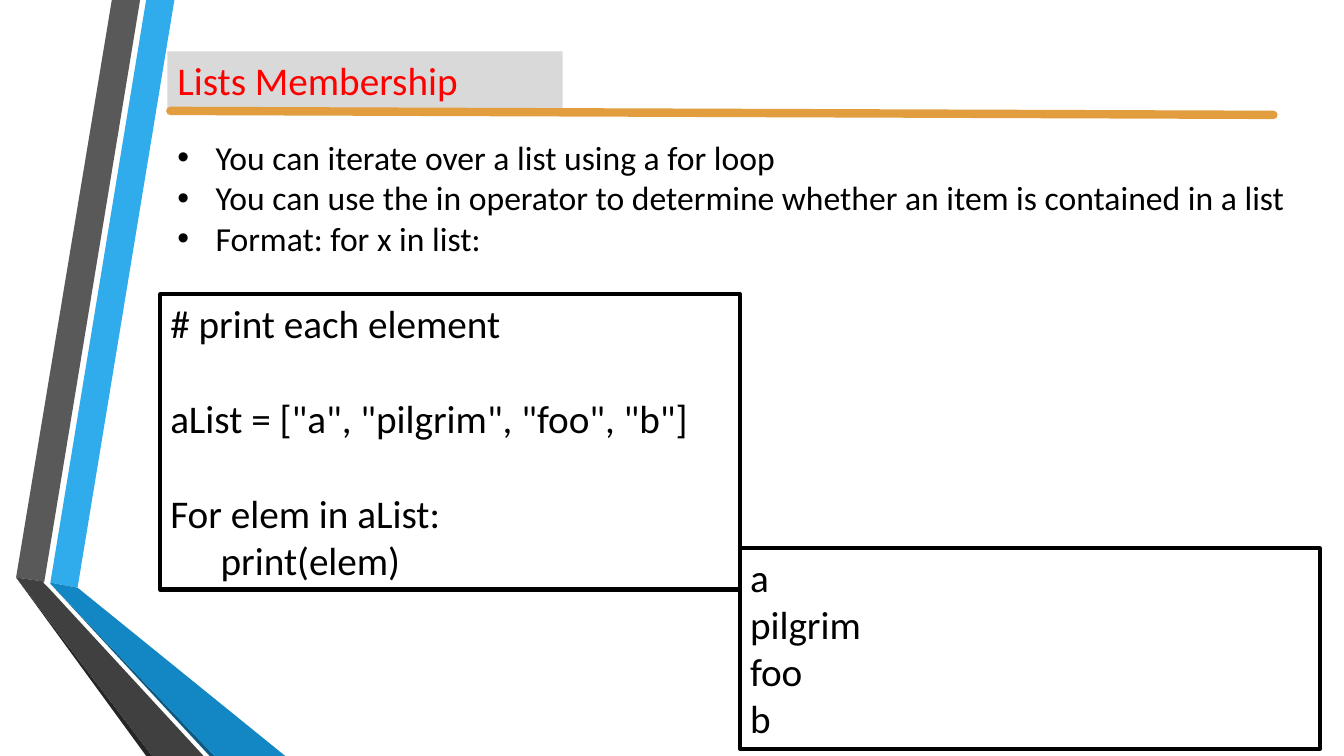
from lxml.etree import SubElement
from pptx import Presentation
from pptx.dml.color import RGBColor
from pptx.enum.shapes import MSO_CONNECTOR, MSO_SHAPE
from pptx.enum.text import MSO_ANCHOR, MSO_AUTO_SIZE, PP_ALIGN
from pptx.oxml.ns import qn
from pptx.util import Inches, Pt

# Content
TITLE = "Lists Membership"
POINTS = [
    "You can iterate over a list using a for loop",
    "You can use the in operator to determine whether an item is contained in a list",
    "Format: for x in list:",
]
# Code lines: text, indent level, blank lines above
CODE = [
    ("# print each element", 0, 0),
    ('aList = ["a", "pilgrim", "foo", "b"]', 0, 1),
    ("For elem in aList:", 0, 1),
    ("print(elem)", 1, 0),
]
OUTPUT = ["a", "pilgrim", "foo", "b"]

COLORS = {
    "text": "000000", "title": "FF0000", "title_band": "D9D9D9", "rule": "E29D3E",
    "blue": "30ACEC", "blue_fold": "1287C3", "blue_edge": "0C5A82",
    "gray": "595959", "gray_fold": "404040", "gray_edge": "262626",
}
FONT = "Calibri"
BODY_SIZE, CODE_SIZE = 24, 28
LINE_HEIGHT = 1.22 * CODE_SIZE

# Layout in inches
WIDTH, HEIGHT = 13.33, 7.5
LEFT = 1.66
PANEL_WIDTH = 5.75
CODE_LEFT = 1.59
RIBBONS = [
    ("blue", [(0.5, 5.78), (0.77, 5.83), (1.73, 0), (1.45, 0)]),
    ("gray", [(1.39, 0), (1.11, 0), (0.16, 5.73), (0.44, 5.77)]),
    ("gray_edge", [(0.16, 5.73), (1.45, HEIGHT), (1.51, HEIGHT)]),
    ("blue_edge", [(0.5, 5.79), (2.08, HEIGHT), (2.13, HEIGHT)]),
    ("blue_fold", [(0.5, 5.79), (2.13, HEIGHT), (2.83, HEIGHT), (0.77, 5.83), (0.5, 5.78)]),
    ("gray_fold", [(2.02, HEIGHT), (0.48, 5.83), (0.43, 5.78), (0.44, 5.77),
                   (0.16, 5.73), (1.51, HEIGHT)]),
]


def color(name):
    return RGBColor.from_string(COLORS[name])


def box(*lengths):
    return [Inches(length) for length in lengths]


def write(shape, lines, size, ink="text", anchor=MSO_ANCHOR.TOP):
    frame = shape.text_frame
    frame.word_wrap = True
    frame.auto_size = MSO_AUTO_SIZE.NONE
    frame.vertical_anchor = anchor
    frame.text = "\n".join(lines)
    for paragraph in frame.paragraphs:
        paragraph.alignment = PP_ALIGN.LEFT
        for run in paragraph.runs:
            run.font.name = FONT
            run.font.size = Pt(size)
            run.font.color.rgb = color(ink)
    return frame.paragraphs


def add_panel(slide, left, top, height, lines):
    panel = slide.shapes.add_shape(
        MSO_SHAPE.RECTANGLE, *box(left, top, PANEL_WIDTH, height))
    panel.shadow.inherit = False
    panel.fill.background()
    panel.line.color.rgb = color("text")
    panel.line.width = Pt(3)
    return write(panel, lines, CODE_SIZE)


def main():
    deck = Presentation()
    deck.slide_width, deck.slide_height = box(WIDTH, HEIGHT)
    slide = deck.slides.add_slide(deck.slide_layouts[5])

    # Folded ribbons on the left edge
    for name, points in RIBBONS:
        start, *others = [box(*point) for point in points]
        builder = slide.shapes.build_freeform(*start, scale=1.0)
        builder.add_line_segments(others, close=True)
        ribbon = builder.convert_to_shape()
        ribbon.shadow.inherit = False
        ribbon.fill.solid()
        ribbon.fill.fore_color.rgb = color(name)
        ribbon.line.fill.background()

    # Title and rule
    title = slide.shapes.title
    title.left, title.top, title.width, title.height = box(LEFT, 0.51, 3.92, 0.57)
    title.fill.solid()
    title.fill.fore_color.rgb = color("title_band")
    write(title, [TITLE], 28, "title", MSO_ANCHOR.MIDDLE)

    rule = slide.shapes.add_connector(
        MSO_CONNECTOR.STRAIGHT, *box(1.69, 1.1, 12.63, 1.14))
    rule.line.color.rgb = color("rule")
    rule.line.width = Pt(6)
    rule.line._get_or_add_ln().set("cap", "rnd")
    SubElement(rule._element.spPr, qn("a:effectLst"))

    # Bulleted points
    points_box = slide.shapes.add_textbox(*box(LEFT, 1.31, 11.35, 1.4))
    for paragraph in write(points_box, POINTS, BODY_SIZE):
        props = paragraph._p.get_or_add_pPr()
        props.set("marL", str(Inches(0.38)))
        props.set("indent", str(-Inches(0.38)))
        SubElement(props, qn("a:buFont"), typeface="Arial")
        SubElement(props, qn("a:buChar"), char="•")

    # Code and its output
    code_lines = add_panel(slide, CODE_LEFT, 2.92, 2.93, [text for text, _, _ in CODE])
    for paragraph, (_, level, blanks) in zip(code_lines, CODE):
        if blanks:
            paragraph.space_before = Pt(blanks * LINE_HEIGHT)
        if level:
            paragraph._p.get_or_add_pPr().set("marL", str(Inches(0.5 * level)))
    add_panel(slide, CODE_LEFT + PANEL_WIDTH, 5.44, 1.99, OUTPUT)

    deck.save("out.pptx")


if __name__ == "__main__":
    main()
